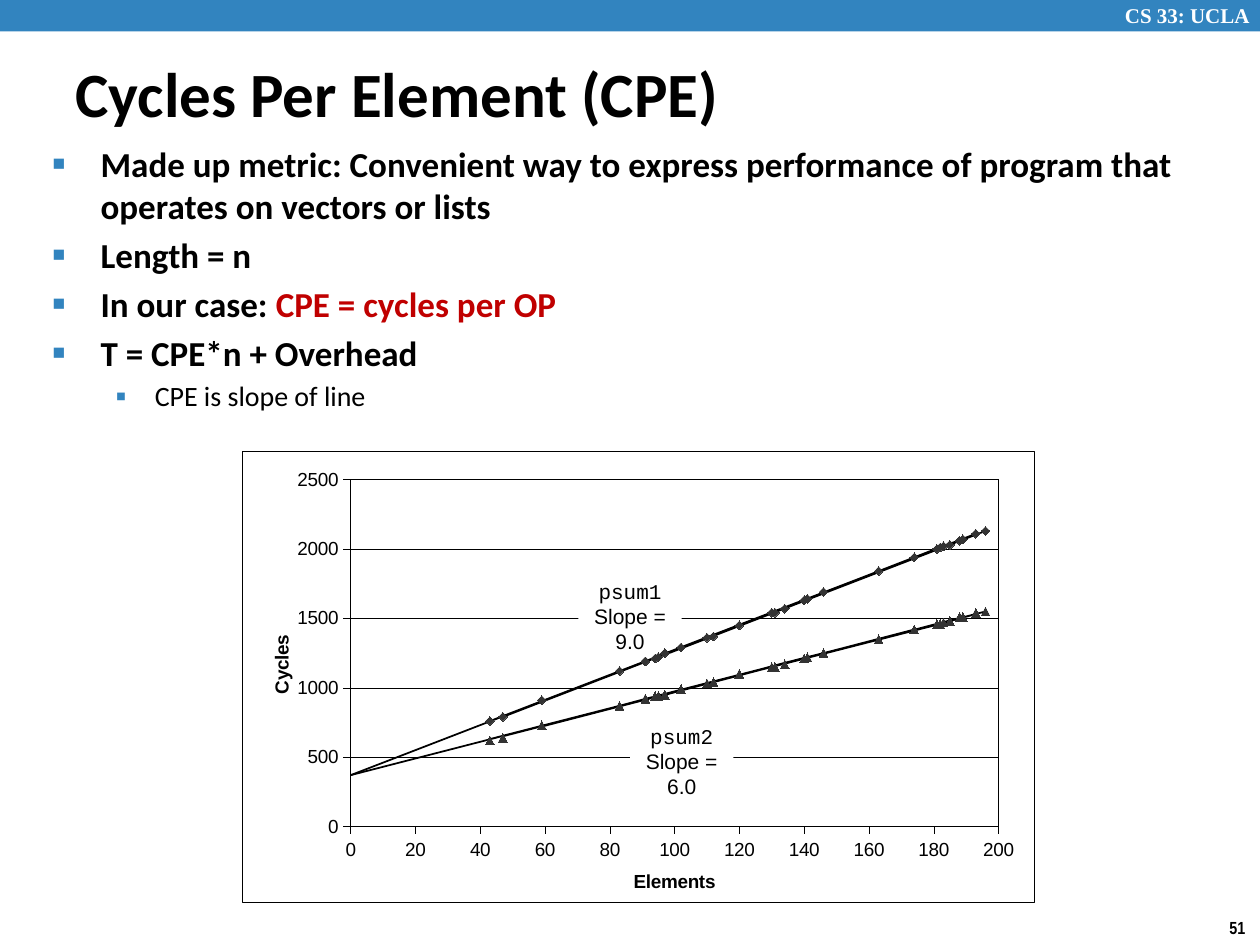
from dataclasses import dataclass

from pptx import Presentation
from pptx.chart.data import XyChartData
from pptx.dml.color import RGBColor
from pptx.enum.chart import XL_CHART_TYPE, XL_MARKER_STYLE, XL_TICK_MARK
from pptx.enum.shapes import MSO_SHAPE
from pptx.enum.text import MSO_ANCHOR, PP_ALIGN
from pptx.oxml import parse_xml
from pptx.oxml.ns import nsdecls, qn
from pptx.util import Inches, Pt


@dataclass(frozen=True)
class Theme:
    blue: RGBColor = RGBColor(0x32, 0x84, 0xBF)
    black: RGBColor = RGBColor(0, 0, 0)
    white: RGBColor = RGBColor(0xFF, 0xFF, 0xFF)
    red: RGBColor = RGBColor(0xC0, 0, 0)
    marker: RGBColor = RGBColor(0x33, 0x33, 0x33)
    title: float = 36
    body: float = 20
    detail: float = 16
    label: float = 12
    axis: float = 10.8
    number: float = 10
    hairline: float = 0.25


@dataclass(frozen=True)
class Caption:
    text: str
    at: tuple
    font: str
    size: float
    color: RGBColor
    wrap: bool = True


@dataclass(frozen=True)
class Bullet:
    text: str
    level: int = 0
    highlight: str = ""


@dataclass(frozen=True)
class BulletStyle:
    size: float
    bold: bool
    margin: float
    hanging: float
    symbol: str
    percent: int


@dataclass(frozen=True)
class Series:
    name: str
    cycles: tuple
    marker: XL_MARKER_STYLE = XL_MARKER_STYLE.NONE


@dataclass(frozen=True)
class AxisStyle:
    title: str
    title_at: tuple
    maximum: int
    step: int
    grid: bool


@dataclass(frozen=True)
class SlopeLabel:
    function: str
    slope: str
    left: float
    top: float


THEME = Theme()
CAPTIONS = (
    Caption("CS 33: UCLA", (8.83, -0.03, 1.24, 0.3), "Times New Roman", THEME.label, THEME.white),
    Caption("51", (9.66, 7.23, 0.34, 0.27), "Arial Narrow", THEME.number, THEME.black, False),
    Caption("Cycles Per Element (CPE)", (0.5, 0.42, 8.9, 0.63), "Calibri", THEME.title, THEME.black),
)
BULLET_STYLES = (
    BulletStyle(THEME.body, True, 0.38, 0.38, "■", 60),
    BulletStyle(THEME.detail, False, 0.81, 0.31, "▪", 110),
)
BULLETS = (
    Bullet("Made up metric: Convenient way to express performance of program that operates on vectors or lists"),
    Bullet("Length = n"),
    Bullet("In our case: ", highlight="CPE = cycles per OP"),
    Bullet("T = CPE*n + Overhead"),
    Bullet("CPE is slope of line", level=1),
)
ELEMENTS = (0, 193, 120, 91, 95, 196, 97, 181, 91, 83, 43, 183, 140, 146, 94,
            134, 163, 131, 110, 182, 189, 112, 141, 185, 188, 47, 130, 102, 59, 174)
SERIES = (
    Series("Series 1", (None, 2110, 1450, 1190, 1220, 2130, 1250, 2000, 1190, 1120, 760, 2020, 1630, 1690, 1210,
                        1570, 1840, 1540, 1360, 2010, 2070, 1370, 1640, 2030, 2060, 790, 1540, 1290, 910, 1940),
           XL_MARKER_STYLE.DIAMOND),
    Series("Series 2", (370, 2110, 1450, 1190, 1220, 2130, 1240, 2000, 1190, 1120, 760, 2020, 1630, 1680, 1220,
                        1580, 1840, 1550, 1360, 2010, 2070, 1380, 1640, 2040, 2060, 790, 1540, 1290, 900, 1940)),
    Series("Series 3", (None, 1540, 1100, 920, 940, 1550, 950, 1460, 920, 870, 620, 1470, 1210, 1250, 940,
                        1170, 1350, 1150, 1030, 1460, 1510, 1040, 1220, 1480, 1510, 640, 1150, 990, 730, 1420),
           XL_MARKER_STYLE.TRIANGLE),
    Series("Series 4", (370, 1530, 1090, 920, 940, 1550, 950, 1460, 920, 870, 630, 1470, 1210, 1250, 930,
                        1180, 1350, 1160, 1030, 1460, 1510, 1040, 1220, 1480, 1500, 650, 1150, 980, 720, 1420)),
)
ELEMENTS_AXIS = AxisStyle("Elements", (0.49, 0.92), 200, 20, False)
CYCLES_AXIS = AxisStyle("Cycles", (0.03, 0.4), 2500, 500, True)
SLOPE_LABELS = (
    SlopeLabel("psum1", "Slope = 9.0", 4.59, 4.56),
    SlopeLabel("psum2", "Slope = 6.0", 5, 5.71),
)


def add_block(page, at: tuple, color: RGBColor):
    """Add a filled rectangle without outline or shadow."""
    block = page.shapes.add_shape(MSO_SHAPE.RECTANGLE, *map(Inches, at))
    block.shadow.inherit = False
    block.fill.solid()
    block.fill.fore_color.rgb = color
    block.line.fill.background()
    return block


def set_font(font, name: str, size: float, color: RGBColor, bold: bool) -> None:
    """Apply typeface, size, colour and weight."""
    font.name, font.size, font.bold = name, Pt(size), bold
    font.color.rgb = color


def add_caption(page, caption: Caption) -> None:
    """Add one bold line of text."""
    frame = page.shapes.add_textbox(*map(Inches, caption.at)).text_frame
    frame.word_wrap = caption.wrap
    frame.vertical_anchor = MSO_ANCHOR.MIDDLE
    para = frame.paragraphs[0]
    para.text = caption.text
    set_font(para.font, caption.font, caption.size, caption.color, True)


def add_bullets(page, bullets: tuple) -> None:
    """Add the bulleted body text."""
    frame = page.shapes.add_textbox(Inches(0.32), Inches(1.08), Inches(9.09), Inches(2.39)).text_frame
    frame.word_wrap = True
    for index, bullet in enumerate(bullets):
        style = BULLET_STYLES[bullet.level]
        para = frame.add_paragraph() if index else frame.paragraphs[0]
        para.level = bullet.level
        if index:
            para.space_before = Pt(style.size * 0.2)
        properties = para._p.get_or_add_pPr()
        properties.set("marL", str(Inches(style.margin)))
        properties.set("indent", str(-Inches(style.hanging)))
        for tag in (f'<a:buClr {nsdecls("a")}><a:srgbClr val="{THEME.blue}"/></a:buClr>',
                    f'<a:buSzPct {nsdecls("a")} val="{style.percent * 1000}"/>',
                    f'<a:buFont {nsdecls("a")} typeface="Arial"/>',
                    f'<a:buChar {nsdecls("a")} char="{style.symbol}"/>'):
            properties.append(parse_xml(tag))
        para.add_run().text = bullet.text
        set_font(para.font, "Calibri", style.size, THEME.black, style.bold)
        if bullet.highlight:
            span = para.add_run()
            span.text = bullet.highlight
            span.font.color.rgb = THEME.red


def set_line(line, width: float) -> None:
    """Make a line solid black."""
    line.color.rgb = THEME.black
    line.width = Pt(width)


def make_layout(**places):
    """Return a manual chart layout."""
    items = "".join(f'<c:{key} val="{value}"/>' for key, value in places.items())
    return parse_xml(f'<c:layout {nsdecls("c")}><c:manualLayout>{items}</c:manualLayout></c:layout>')


def style_axis(axis, style: AxisStyle) -> None:
    """Set the scale, title and lines of an axis."""
    axis.minimum_scale, axis.maximum_scale, axis.major_unit = 0, style.maximum, style.step
    axis.major_tick_mark = XL_TICK_MARK.OUTSIDE
    axis.has_major_gridlines = style.grid
    if style.grid:
        set_line(axis.major_gridlines.format.line, THEME.hairline)
    set_line(axis.format.line, THEME.hairline)
    set_font(axis.tick_labels.font, "Arial", THEME.axis, THEME.black, False)
    para = axis.axis_title.text_frame.paragraphs[0]
    para.text = style.title
    set_font(para.font, "Arial", THEME.axis, THEME.black, True)
    title = axis.axis_title._element
    for layout in title.findall(qn("c:layout")):
        title.remove(layout)
    left, top = style.title_at
    title.find(qn("c:tx")).addnext(make_layout(xMode="edge", yMode="edge", x=left, y=top))


def frame_chart(chart) -> None:
    """Outline the chart and place its plot area."""
    def outline(fill: str):
        return parse_xml(f'<c:spPr {nsdecls("c", "a")}>{fill}<a:ln w="{Pt(THEME.hairline)}"><a:solidFill>'
                         f'<a:srgbClr val="{THEME.black}"/></a:solidFill></a:ln></c:spPr>')

    body = chart._chartSpace.find(qn("c:chart"))
    body.addprevious(parse_xml(f'<c:roundedCorners {nsdecls("c")} val="0"/>'))
    body.addnext(outline(f'<a:solidFill><a:srgbClr val="{THEME.white}"/></a:solidFill>'))
    plot = body.find(qn("c:plotArea"))
    for layout in plot.findall(qn("c:layout")):
        plot.remove(layout)
    plot.insert(0, make_layout(layoutTarget="inner", xMode="edge", yMode="edge", x=0.137, y=0.063, w=0.818, h=0.77))
    plot.append(outline("<a:noFill/>"))


def add_cycles_chart(page) -> None:
    """Add the scatter chart of cycles against elements."""
    data = XyChartData()
    for series in SERIES:
        points = data.add_series(series.name)
        for elements, cycles in zip(ELEMENTS, series.cycles):
            points.add_data_point(elements, cycles)
    at = map(Inches, (1.92, 3.58, 6.29, 3.58))
    chart = page.shapes.add_chart(XL_CHART_TYPE.XY_SCATTER_LINES, *at, data).chart
    for point in list(chart._chartSpace.iter(qn("c:pt"))):
        if point.findtext(qn("c:v")) in ("None", "", None):
            point.getparent().remove(point)
    chart.has_legend = chart.has_title = False
    set_font(chart.font, "Arial", THEME.axis, THEME.black, False)
    chart.plots[0].vary_by_categories = False
    style_axis(chart.category_axis, ELEMENTS_AXIS)
    style_axis(chart.value_axis, CYCLES_AXIS)
    for series, drawn in zip(SERIES, chart.plots[0].series):
        drawn.smooth = False
        drawn.marker.style = series.marker
        if series.marker == XL_MARKER_STYLE.NONE:
            set_line(drawn.format.line, 1)
            continue
        drawn.format.line.fill.background()
        drawn.marker.size = 5
        drawn.marker.format.fill.solid()
        drawn.marker.format.fill.fore_color.rgb = THEME.marker
        drawn.marker.format.line.color.rgb = THEME.marker
    frame_chart(chart)


def add_slope_label(page, label: SlopeLabel) -> None:
    """Add a function name with its slope over the chart."""
    frame = add_block(page, (label.left, label.top, 0.82, 0.37), THEME.white).text_frame
    frame.word_wrap = True
    frame.vertical_anchor = MSO_ANCHOR.TOP
    frame.margin_left = frame.margin_right = frame.margin_top = Inches(0.03)
    frame.margin_bottom = 0
    lines = ((frame.paragraphs[0], label.function, "Courier New"), (frame.add_paragraph(), label.slope, "Arial"))
    for para, text, font in lines:
        para.text = text
        para.alignment = PP_ALIGN.CENTER
        set_font(para.font, font, THEME.label, THEME.black, False)


def main() -> None:
    """Build the slide and save it."""
    deck = Presentation()
    deck.slide_width, deck.slide_height = Inches(10), Inches(7.5)
    page = deck.slides.add_slide(deck.slide_layouts[6])
    add_block(page, (0, 0, 10, 0.25), THEME.blue)
    for caption in CAPTIONS:
        add_caption(page, caption)
    add_bullets(page, BULLETS)
    add_cycles_chart(page)
    for label in SLOPE_LABELS:
        add_slope_label(page, label)
    deck.save("out.pptx")


if __name__ == "__main__":
    main()
